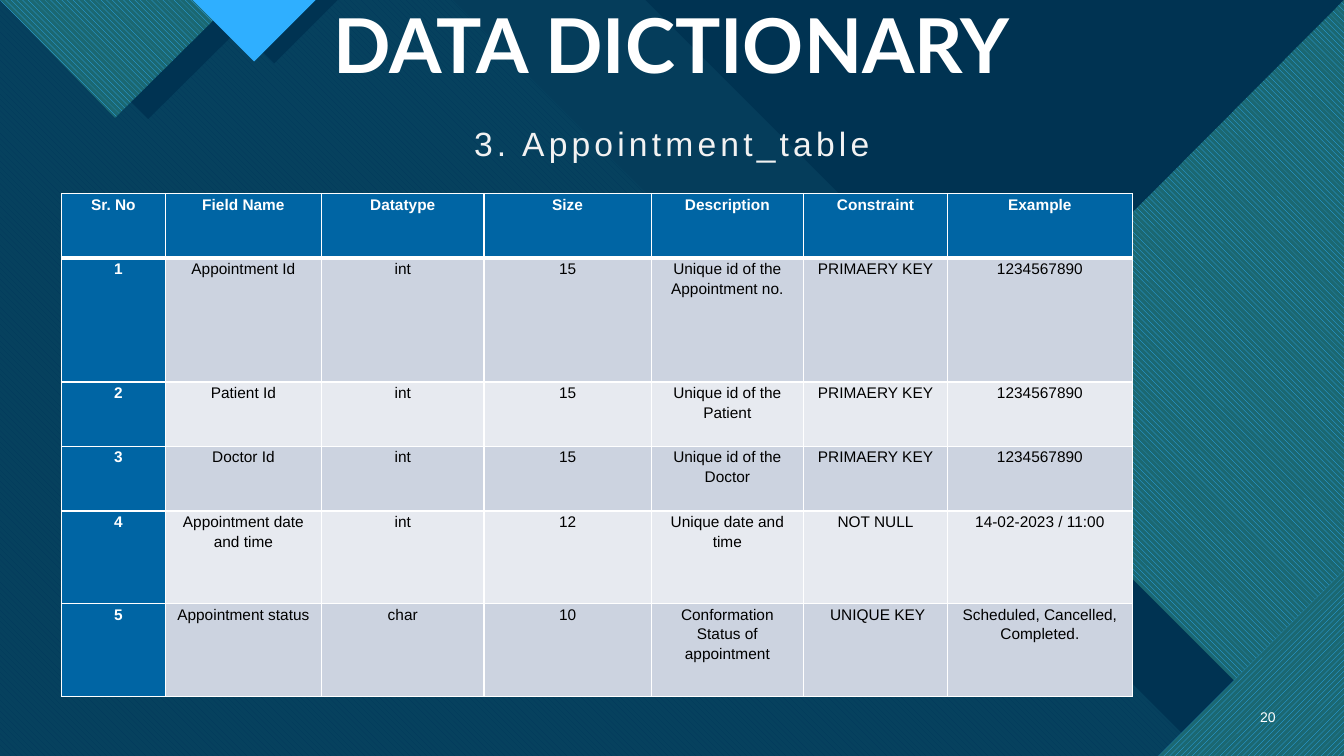
from dataclasses import dataclass

from lxml import etree
from pptx import Presentation
from pptx.dml.color import RGBColor
from pptx.enum.dml import MSO_PATTERN
from pptx.enum.text import MSO_ANCHOR, PP_ALIGN
from pptx.oxml.ns import qn
from pptx.util import Inches, Pt

CENTER, RIGHT = PP_ALIGN.CENTER, PP_ALIGN.RIGHT
TOP, MIDDLE, BOTTOM = MSO_ANCHOR.TOP, MSO_ANCHOR.MIDDLE, MSO_ANCHOR.BOTTOM
DOWN_STRIPES = MSO_PATTERN.WIDE_DOWNWARD_DIAGONAL
UP_STRIPES = MSO_PATTERN.WIDE_UPWARD_DIAGONAL


@dataclass(frozen=True)
class Theme:
    base: str = "0C4360"
    navy: str = "003352"
    blue: str = "0065A4"
    bright: str = "2FAFFF"
    teal: str = "1B6872"
    aqua: str = "47C3D3"
    band_dark: str = "CCD3E0"
    band_light: str = "E7EAF0"
    white: str = "FFFFFF"
    off_white: str = "F2F2F2"
    black: str = "000000"
    heading_font: str = "Lato"
    body_font: str = "Arial"
    title_size: int = 54
    subtitle_size: int = 24
    table_size: int = 11
    number_size: int = 10


THEME = Theme()
WIDTH, HEIGHT = 13.33, 7.5

COLUMN_WIDTHS = [1.03, 1.55, 1.61, 1.66, 1.51, 1.43, 1.83]
ROW_HEIGHTS = [0.64, 1.23, 0.64, 0.64, 0.92, 0.92]
FIELDS = [
    ["Sr. No", "Field Name", "Datatype", "Size", "Description", "Constraint", "Example"],
    ["1", "Appointment Id", "int", "15", "Unique id of the Appointment no.",
     "PRIMAERY KEY", "1234567890"],
    ["2", "Patient Id", "int", "15", "Unique id of the Patient",
     "PRIMAERY KEY", "1234567890"],
    ["3", "Doctor Id", "int", "15", "Unique id of the Doctor",
     "PRIMAERY KEY", "1234567890"],
    ["4", "Appointment date and time", "int", "12", "Unique date and time",
     "NOT NULL", "14-02-2023 / 11:00"],
    ["5", "Appointment status", "char", "10", "Conformation Status of appointment",
     " UNIQUE KEY", "Scheduled, Cancelled, Completed."],
]


def rgb(color):
    return RGBColor.from_string(color)


def add_polygon(slide, points, color, back=None, pattern=None, opacity=100):
    """Draw a closed outline, filled plain or with a two-colour pattern."""
    corners = [(Inches(x), Inches(y)) for x, y in points]
    builder = slide.shapes.build_freeform(*corners[0], scale=1.0)
    builder.add_line_segments(corners[1:], close=True)
    shape = builder.convert_to_shape()
    shape.shadow.inherit = False
    shape.line.fill.background()
    if pattern:
        shape.fill.patterned()
        shape.fill.pattern = pattern
        shape.fill.back_color.rgb = rgb(back)
    else:
        shape.fill.solid()
    shape.fill.fore_color.rgb = rgb(color)
    if opacity < 100:
        fill_color = shape.element.spPr.find(qn("a:solidFill"))[0]
        etree.SubElement(fill_color, qn("a:alpha"), val=str(opacity * 1000))


def add_background(slide):
    def sheet(start, *edge):
        return [(0, 0), (start, 0), *edge, (WIDTH, HEIGHT), (0, HEIGHT)]

    add_polygon(slide, [(0, 0), (WIDTH, 0), (WIDTH, HEIGHT), (0, HEIGHT)], THEME.base)
    add_polygon(slide, sheet(8.26, (11.23, 2.97), (12.35, 2.97), (WIDTH, 3.96)),
                THEME.aqua, opacity=74)
    add_polygon(slide, sheet(4.49, (7.46, 2.97), (8.72, 2.97), (13.25, HEIGHT)),
                THEME.blue, THEME.aqua, DOWN_STRIPES)
    add_polygon(slide, [(6.4, 0), (WIDTH, 0), (WIDTH, 6.93)], THEME.navy)
    add_polygon(slide, sheet(6.95, (9.92, 2.97), (11.18, 2.97), (WIDTH, 5.13)),
                THEME.navy, opacity=90)


def add_corner_decorations(slide):
    """Striped triangles at the slide edges, each over its navy shade."""
    add_polygon(slide, [(WIDTH, 0.68), (WIDTH, HEIGHT), (11.95, HEIGHT), (9.23, 4.78)],
                THEME.navy)
    add_polygon(slide, [(WIDTH, 0), (WIDTH, HEIGHT), (12.99, HEIGHT), (9.42, 3.93)],
                THEME.bright, THEME.teal, DOWN_STRIPES)
    add_polygon(slide, [(WIDTH, 6.14), (WIDTH, HEIGHT), (11.97, HEIGHT)], THEME.navy)
    add_polygon(slide, [(WIDTH, 5.66), (WIDTH, HEIGHT), (11.49, HEIGHT)],
                THEME.bright, THEME.teal, UP_STRIPES)
    add_polygon(slide, [(0.29, 0), (2.66, 0), (1.47, 1.18)], THEME.navy)
    add_polygon(slide, [(0, 0), (2.32, 0), (1.14, 1.17)],
                THEME.bright, THEME.teal, DOWN_STRIPES)
    add_polygon(slide, [(2.09, 0), (3.35, 0), (2.72, 0.63)], THEME.navy)
    add_polygon(slide, [(1.91, 0), (3.13, 0), (2.52, 0.61)], THEME.bright)


def style_paragraph(paragraph, font, size, color, align=CENTER, bold=False, spacing=1.0):
    paragraph.alignment = align
    paragraph.line_spacing = spacing
    paragraph.font.name = font
    paragraph.font.size = Pt(size)
    paragraph.font.bold = bold
    paragraph.font.color.rgb = rgb(color)


def add_text(slide, text, left, top, width, height, anchor, **style):
    box = slide.shapes.add_textbox(Inches(left), Inches(top), Inches(width), Inches(height))
    frame = box.text_frame
    frame.word_wrap = True
    frame.vertical_anchor = anchor
    paragraph = frame.paragraphs[0]
    paragraph.text = text
    style_paragraph(paragraph, **style)
    return paragraph


def set_borders(cell, widths):
    """Give a cell white edges; widths maps the edges L, R, T and B to points."""
    properties = cell._tc.get_or_add_tcPr()
    for edge, width in widths.items():
        line = etree.SubElement(properties, qn(f"a:ln{edge}"), w=str(Pt(width)))
        fill = etree.SubElement(line, qn("a:solidFill"))
        etree.SubElement(fill, qn("a:srgbClr"), val=THEME.white)


def fill_cell(cell, text, row, column):
    is_heading = row == 0 or column == 0
    band = THEME.band_dark if row % 2 else THEME.band_light
    set_borders(cell, {"L": 1, "R": 1, "T": 3 if row == 1 else 1, "B": 3 if row == 0 else 1})
    cell.fill.solid()
    cell.fill.fore_color.rgb = rgb(THEME.blue if is_heading else band)
    cell.margin_left = cell.margin_right = Inches(0.07)
    cell.margin_top = cell.margin_bottom = 0
    paragraph = cell.text_frame.paragraphs[0]
    paragraph.text = text
    paragraph.space_after = Pt(10)
    style_paragraph(paragraph, THEME.body_font, THEME.table_size,
                    THEME.white if is_heading else THEME.black,
                    bold=is_heading, spacing=1.15)
    if row and column == 0:
        paragraph._p.get_or_add_pPr().set("marL", str(Inches(0.1)))


def add_field_table(slide):
    frame = slide.shapes.add_table(
        len(ROW_HEIGHTS), len(COLUMN_WIDTHS), Inches(0.61), Inches(1.92),
        Inches(sum(COLUMN_WIDTHS)), Inches(sum(ROW_HEIGHTS)))
    table = frame.table
    for column, width in zip(table.columns, COLUMN_WIDTHS):
        column.width = Inches(width)
    for row, height in zip(table.rows, ROW_HEIGHTS):
        row.height = Inches(height)
    for row, texts in enumerate(FIELDS):
        for column, text in enumerate(texts):
            fill_cell(table.cell(row, column), text, row, column)


def main():
    presentation = Presentation()
    presentation.slide_width = Inches(WIDTH)
    presentation.slide_height = Inches(HEIGHT)
    slide = presentation.slides.add_slide(presentation.slide_layouts[6])
    add_background(slide)
    add_corner_decorations(slide)
    subtitle = add_text(slide, "3. Appointment_table", 0, 1.22, WIDTH, 1.02, TOP,
                        font=THEME.body_font, size=THEME.subtitle_size,
                        color=THEME.off_white, spacing=0.87)
    subtitle.runs[0].font._element.set("spc", "300")
    add_text(slide, "20", 12.31, 6.91, 0.44, 0.4, MIDDLE, font=THEME.body_font,
             size=THEME.number_size, color=THEME.white, align=RIGHT)
    add_text(slide, "DATA DICTIONARY", 0, 0, WIDTH, 0.94, BOTTOM, font=THEME.heading_font,
             size=THEME.title_size, color=THEME.white, bold=True, spacing=0.9)
    add_field_table(slide)
    presentation.save("out.pptx")


if __name__ == "__main__":
    main()
